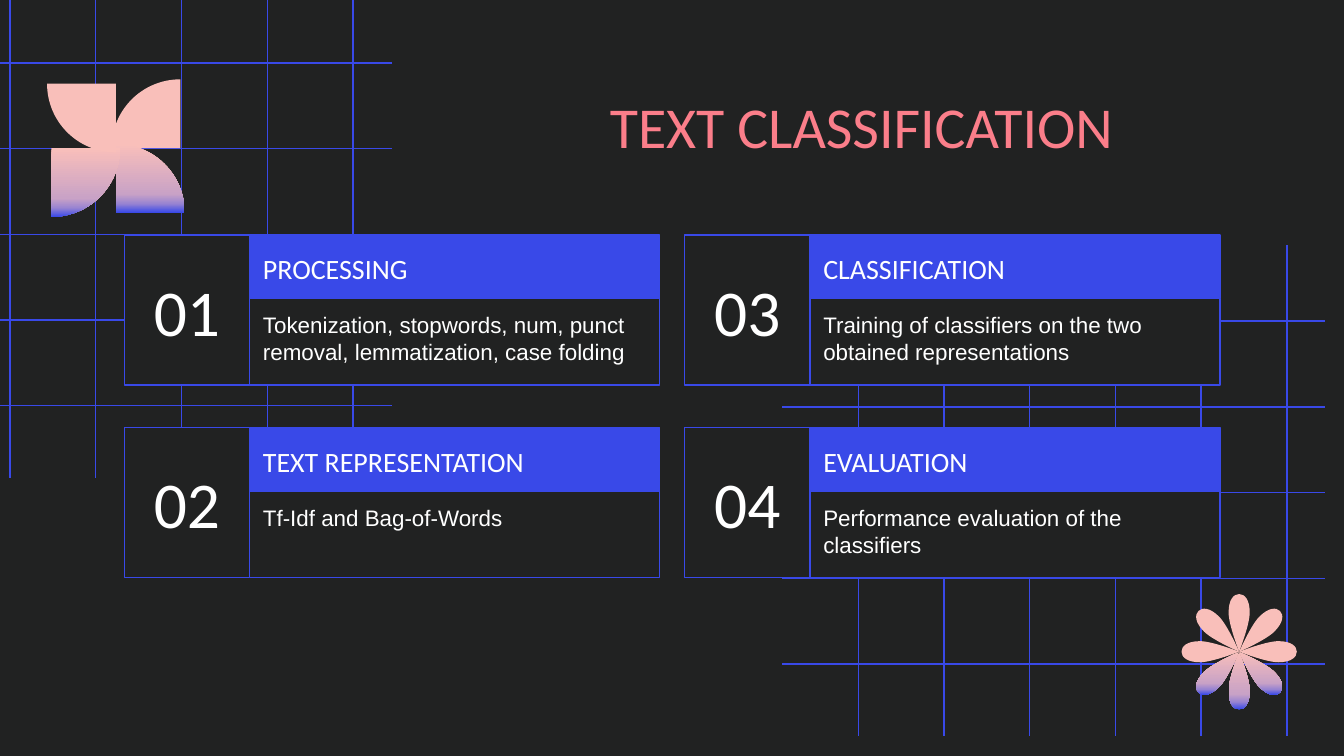
import math

from lxml import etree
from pptx import Presentation
from pptx.dml.color import RGBColor
from pptx.enum.shapes import MSO_CONNECTOR, MSO_SHAPE
from pptx.enum.text import MSO_ANCHOR, PP_ALIGN
from pptx.oxml.ns import qn
from pptx.util import Cm, Pt

RECTANGLE = MSO_SHAPE.RECTANGLE
STRAIGHT = MSO_CONNECTOR.STRAIGHT
TOP, MIDDLE, BOTTOM = MSO_ANCHOR.TOP, MSO_ANCHOR.MIDDLE, MSO_ANCHOR.BOTTOM
LEFT, CENTER = PP_ALIGN.LEFT, PP_ALIGN.CENTER

DARK, BLUE, CORAL, WHITE, PEACH = "212222", "3949E8", "FB7E8A", "FFFFFF", "F9BFBA"
FADE = [(0, PEACH), (73, "C9A2C6"), (87, "9984D1"), (100, BLUE)]

# Each outline is a list of steps: one point is a straight step, three are a cubic curve
PETAL = [
    [(0, 0)],
    [(0, 0), (-0.2, -0.51), (-0.2, -0.74)],
    [(-0.2, -0.99), (-0.1, -1.09), (0, -1.09)],
    [(0.1, -1.09), (0.2, -0.99), (0.2, -0.74)],
    [(0.2, -0.51), (0, 0), (0, 0)],
]
QUARTER = [[(0, 0)], [(-1.3, 0)], [(-1.3, -0.72), (-0.72, -1.3), (0, -1.3)]]


def color(hex_string):
    return RGBColor.from_string(hex_string)


def write(shape, text, size, font="Calibri", ink=WHITE, align=LEFT, anchor=TOP):
    frame = shape.text_frame
    frame.word_wrap = True
    frame.vertical_anchor = anchor
    frame.margin_left = frame.margin_right = Cm(0.25)
    frame.margin_top = frame.margin_bottom = Cm(0.25)
    paragraph = frame.paragraphs[0]
    paragraph.alignment = align
    run = paragraph.add_run()
    run.text = text
    run.font.size = Pt(size)
    run.font.name = font
    run.font.color.rgb = color(ink)


def place(outline, x, y, degrees):
    """Turn an outline about its origin, then move it to x, y."""
    cos, sin = math.cos(math.radians(degrees)), math.sin(math.radians(degrees))
    return [[(x + px * cos - py * sin, y + px * sin + py * cos) for px, py in step]
            for step in outline]


def extent(outline):
    """Smallest and largest x and y that the curves reach."""
    reached = [outline[0][0]]
    for step in outline[1:]:
        start = reached[-1]
        controls = [start, *step] if len(step) == 3 else [start, start, step[0], step[0]]
        for index in range(1, 41):
            t = index / 40
            weights = ((1 - t) ** 3, 3 * t * (1 - t) ** 2, 3 * t * t * (1 - t), t ** 3)
            reached.append(tuple(sum(w * point[axis] for w, point in zip(weights, controls))
                                 for axis in (0, 1)))
    xs, ys = zip(*reached)
    return min(xs), min(ys), max(xs), max(ys)


class SlideBuilder:
    def __init__(self, slide, line_width=0.75):
        self.slide = slide
        self.shapes = slide.shapes
        self.line_width = Pt(line_width)

    def background(self, fill):
        self.slide.background.fill.solid()
        self.slide.background.fill.fore_color.rgb = color(fill)

    def line(self, x1, y1, x2, y2):
        connector = self.shapes.add_connector(STRAIGHT, Cm(x1), Cm(y1), Cm(x2), Cm(y2))
        connector.line.color.rgb = color(BLUE)
        connector.line.width = self.line_width
        etree.SubElement(connector._element.spPr, qn("a:effectLst"))

    def grid(self, x, y, columns, rows, left, top, right, bottom, step=1.62):
        for column in range(columns):
            self.line(x + column * step, top, x + column * step, bottom)
        for row in range(rows):
            self.line(right, y + row * step, left, y + row * step)

    def box(self, left, top, width, height, fill, text, size, **style):
        shape = self.shapes.add_shape(RECTANGLE, Cm(left), Cm(top), Cm(width), Cm(height))
        shape.shadow.inherit = False
        shape.fill.solid()
        shape.fill.fore_color.rgb = color(fill)
        shape.line.color.rgb = color(BLUE)
        shape.line.width = self.line_width
        write(shape, text, size, **style)

    def label(self, left, top, width, height, text, size, **style):
        shape = self.shapes.add_textbox(Cm(left), Cm(top), Cm(width), Cm(height))
        write(shape, text, size, **style)

    def card(self, left, top, number, heading, body):
        text_left = left + 2.37
        self.box(text_left, top, 7.75, 1.2, BLUE, heading, 15, anchor=BOTTOM)
        self.box(text_left, top + 1.2, 7.75, 1.64, DARK, body, 12, font="Arial")
        self.box(left, top, 2.37, 2.84, DARK, number, 35, align=CENTER, anchor=MIDDLE)

    def outline(self, steps, faded):
        left, top, right, bottom = extent(steps)
        builder = self.shapes.build_freeform(Cm(left), Cm(top))
        builder.add_line_segments([(Cm(right), Cm(bottom))], close=True)
        shape = builder.convert_to_shape()
        # Swap the diagonal of the frame for the curved steps
        route = shape._element.spPr.find(".//" + qn("a:path"))
        for child in list(route):
            route.remove(child)
        for index, step in enumerate(steps):
            kind = "a:moveTo" if index == 0 else "a:cubicBezTo" if len(step) == 3 else "a:lnTo"
            segment = etree.SubElement(route, qn(kind))
            for x, y in step:
                etree.SubElement(segment, qn("a:pt"), x=str(Cm(x - left)), y=str(Cm(y - top)))
        etree.SubElement(route, qn("a:close"))
        shape.shadow.inherit = False
        shape.line.fill.background()
        if faded:
            self.fade(shape)
        else:
            shape.fill.solid()
            shape.fill.fore_color.rgb = color(PEACH)

    def fade(self, shape):
        shape.fill.gradient()
        shape.fill.gradient_angle = 270
        stops = shape._element.spPr.find(".//" + qn("a:gsLst"))
        for stop in list(stops):
            stops.remove(stop)
        for position, tint in FADE:
            stop = etree.SubElement(stops, qn("a:gs"), pos=str(position * 1000))
            etree.SubElement(stop, qn("a:srgbClr"), val=tint)

    def flower(self, x, y):
        for degrees in range(0, 360, 45):
            self.outline(place(PETAL, x, y, degrees), faded=90 < degrees < 270)

    def pinwheel(self, x, y, offset=1.22):
        for degrees in range(0, 360, 90):
            angle = math.radians(degrees)
            corner = x + offset * math.cos(angle), y + offset * math.sin(angle)
            self.outline(place(QUARTER, *corner, degrees), faded=degrees in (90, 180))


def main():
    presentation = Presentation()
    presentation.slide_width, presentation.slide_height = Cm(25.4), Cm(14.29)
    builder = SlideBuilder(presentation.slides.add_slide(presentation.slide_layouts[6]))
    builder.background(DARK)

    # Background grids
    builder.grid(16.22, 6.07, 6, 5, left=14.78, top=4.64, right=25.04, bottom=13.92)
    builder.grid(0.19, 1.19, 5, 5, left=-2.87, top=-0.23, right=7.41, bottom=9.04)

    # Numbered cards, down each column
    cards = [
        ("PROCESSING", "Tokenization, stopwords, num, punct removal, lemmatization, case folding"),
        ("TEXT REPRESENTATION", "Tf-Idf and Bag-of-Words"),
        ("CLASSIFICATION", "Training of classifiers on the two obtained representations"),
        ("EVALUATION", "Performance evaluation of the classifiers"),
    ]
    for index, (heading, body) in enumerate(cards):
        column, row = divmod(index, 2)
        builder.card(2.35 + column * 10.59, 4.44 + row * 3.64, f"{index + 1:02d}", heading, body)

    # Title
    builder.label(8.05, 1.47, 16.46, 1.6, "TEXT CLASSIFICATION", 31, ink=CORAL, align=CENTER)

    # Ornaments
    builder.flower(23.42, 12.32)
    builder.pinwheel(2.19, 2.8)

    presentation.save("out.pptx")


if __name__ == "__main__":
    main()
